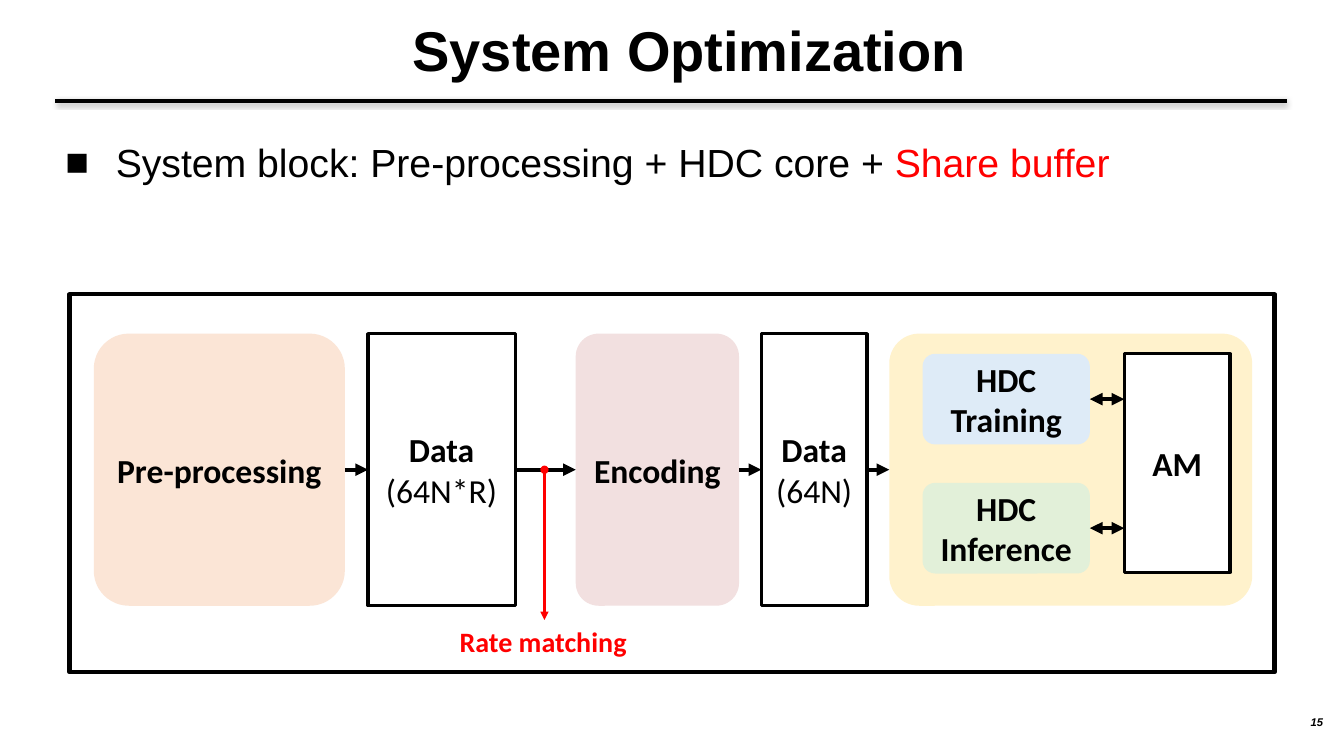
from lxml.etree import SubElement
from pptx import Presentation
from pptx.dml.color import RGBColor
from pptx.enum.shapes import MSO_CONNECTOR, MSO_SHAPE
from pptx.enum.text import MSO_ANCHOR as Anchor, PP_ALIGN as Align
from pptx.oxml.ns import qn
from pptx.util import Inches, Pt

BLACK, WHITE, RED = "000000", "FFFFFF", "FF0000"
ROW_TOP, ROW_HEIGHT = 3.31, 2.7
ROW_MIDDLE = ROW_TOP + ROW_HEIGHT / 2


def color(hex_code):
    return RGBColor.from_string(hex_code)


def write(para, text, size=24, font="Calibri", ink=BLACK, bold=True,
          italic=False, align=Align.CENTER):
    """Append one formatted span to a paragraph."""
    para.alignment = align
    span = para.add_run()
    span.text = text
    span.font.size = Pt(size)
    span.font.name = font
    span.font.bold = bold
    span.font.italic = italic
    span.font.color.rgb = color(ink)


def add_text_box(shapes, left, top, width, height, anchor=Anchor.TOP, wrap=True):
    """Add an empty text box and return its first paragraph."""
    frame = shapes.add_textbox(*map(Inches, (left, top, width, height))).text_frame
    frame.word_wrap = wrap
    frame.vertical_anchor = anchor
    return frame.paragraphs[0]


def add_block(shapes, left, top, width, height, title="", detail="",
              fill=None, outline=None, radius=None):
    """Add a block, rounded if a radius is given, with a bold title and a plain detail."""
    preset = MSO_SHAPE.ROUNDED_RECTANGLE if radius else MSO_SHAPE.RECTANGLE
    block = shapes.add_shape(preset, *map(Inches, (left, top, width, height)))
    block.shadow.inherit = False
    if radius:
        block.adjustments[0] = radius
    if fill:
        block.fill.solid()
        block.fill.fore_color.rgb = color(fill)
    else:
        block.fill.background()
    if outline:
        block.line.color.rgb = color(BLACK)
        block.line.width = Pt(outline)
    else:
        block.line.fill.background()
    frame = block.text_frame
    frame.word_wrap = True
    frame.vertical_anchor = Anchor.MIDDLE
    if title:
        write(frame.paragraphs[0], title)
    if detail:
        write(frame.add_paragraph(), detail, bold=False)


def add_line(shapes, x1, y1, x2, y2, ink=BLACK, width=3, head=None, tail=None):
    """Draw a line with optional end marks; return its effect list."""
    line = shapes.add_connector(MSO_CONNECTOR.STRAIGHT, *map(Inches, (x1, y1, x2, y2)))
    line.line.color.rgb = color(ink)
    line.line.width = Pt(width)
    outline = line.line._get_or_add_ln()
    for tag, mark in (("a:headEnd", head), ("a:tailEnd", tail)):
        if mark:
            SubElement(outline, qn(tag), type=mark)
    return SubElement(line._element.spPr, qn("a:effectLst"))


def add_soft_shadow(effects):
    shadow = SubElement(effects, qn("a:outerShdw"), blurRad=str(Pt(3.1)),
                        dist=str(Pt(1.8)), dir="5400000", rotWithShape="0")
    ink = SubElement(shadow, qn("a:srgbClr"), val=BLACK)
    SubElement(ink, qn("a:alpha"), val="35000")


def add_bullet(para, mark, indent):
    props = para._p.get_or_add_pPr()
    props.set("marL", str(Inches(indent)))
    props.set("indent", str(-Inches(indent)))
    SubElement(props, qn("a:buFont"), typeface="Arial")
    SubElement(props, qn("a:buChar"), char=mark)


def add_header(shapes):
    title = add_text_box(shapes, 0.64, -0.01, 12.39, 1, Anchor.MIDDLE)
    write(title, "System Optimization", size=40, font="Arial")
    add_soft_shadow(add_line(shapes, 0.55, 1, 12.76, 1))
    point = add_text_box(shapes, 0.55, 1.32, 10.86, 0.57)
    add_bullet(point, "■", 0.5)
    style = dict(size=28, font="Arial", bold=False, align=Align.LEFT)
    write(point, "System block: Pre-processing + HDC core + ", **style)
    write(point, "Share buffer", ink=RED, **style)


def add_diagram(shapes):
    add_block(shapes, 0.69, 2.92, 11.95, 3.75, outline=3)

    stages = [
        (0.93, 2.49, dict(title="Pre-processing", fill="FBE5D6", radius=0.14)),
        (3.65, 1.46, dict(title="Data", detail="(64N*R)", fill=WHITE, outline=2.25)),
        (5.71, 1.62, dict(title="Encoding", fill="F2E0E0", radius=0.14)),
        (7.55, 1.05, dict(title="Data", detail="(64N)", fill=WHITE, outline=2.25)),
        (8.82, 3.6, dict(fill="FFF2CC", radius=0.11)),
    ]
    for left, width, look in stages:
        add_block(shapes, left, ROW_TOP, width, ROW_HEIGHT, **look)
    for (left, width, _), (following, _, _) in zip(stages, stages[1:]):
        add_line(shapes, left + width, ROW_MIDDLE, following, ROW_MIDDLE, tail="triangle")

    add_block(shapes, 11.15, 3.51, 1.05, 2.17, "AM", fill=WHITE, outline=2.25)
    for title, fill, top in (("HDC Training", "DEEBF7", 3.51),
                             ("HDC Inference", "E2F0D9", 4.79)):
        add_block(shapes, 9.15, top, 1.66, 0.9, title, fill=fill, radius=0.14)
        middle = top + 0.45
        add_line(shapes, 10.81, middle, 11.15, middle, head="triangle", tail="triangle")

    label = add_text_box(shapes, 4.46, 6.15, 1.87, 0.44, wrap=False)
    write(label, "Rate matching", size=20, ink=RED, align=Align.LEFT)
    add_line(shapes, 5.4, ROW_MIDDLE, 5.4, 6.15, RED, 1.5, head="oval", tail="triangle")


def main():
    deck = Presentation()
    deck.slide_width, deck.slide_height = Inches(13.33), Inches(7.5)
    page = deck.slides.add_slide(deck.slide_layouts[6])
    add_header(page.shapes)
    add_diagram(page.shapes.add_group_shape().shapes)
    number = add_text_box(page.shapes, 11.33, 7.06, 1.89, 0.22, Anchor.MIDDLE)
    number.line_spacing = 0.93
    write(number, "15", size=8, font="Arial", italic=True, align=Align.RIGHT)
    deck.save("out.pptx")


if __name__ == "__main__":
    main()
